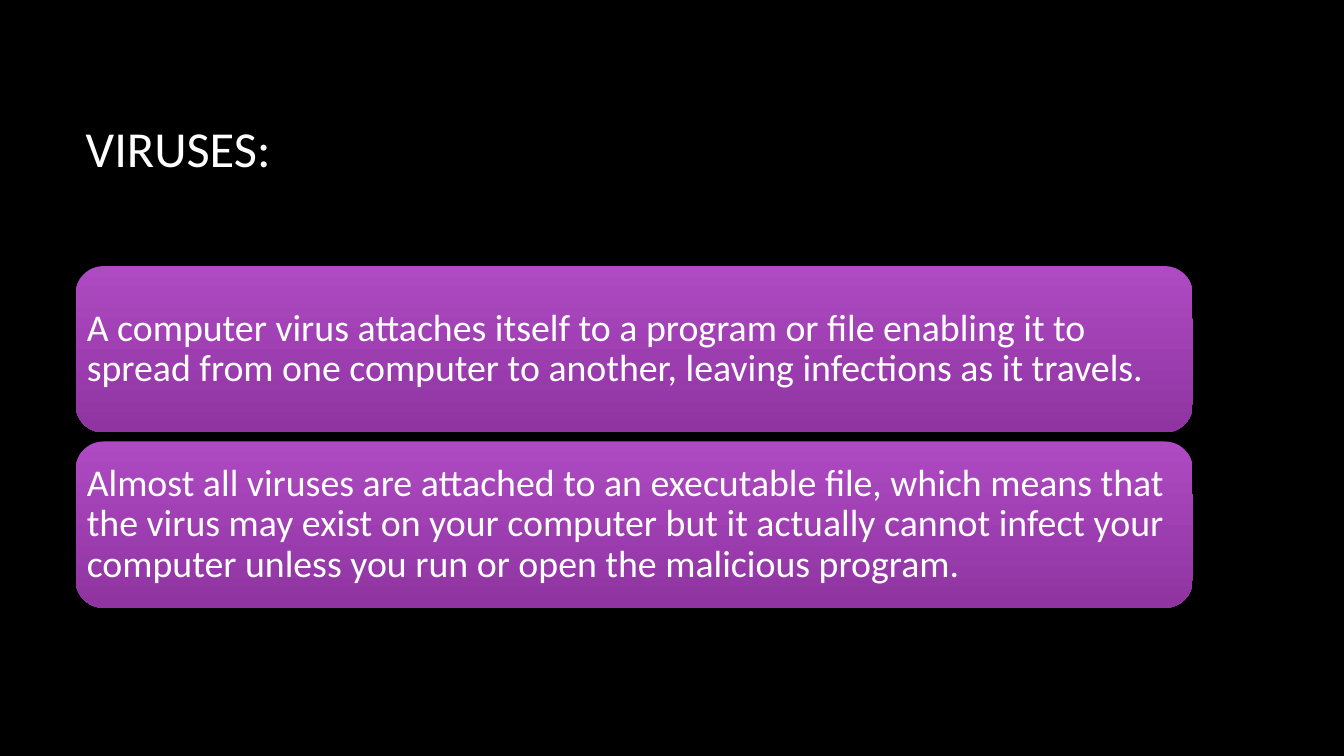
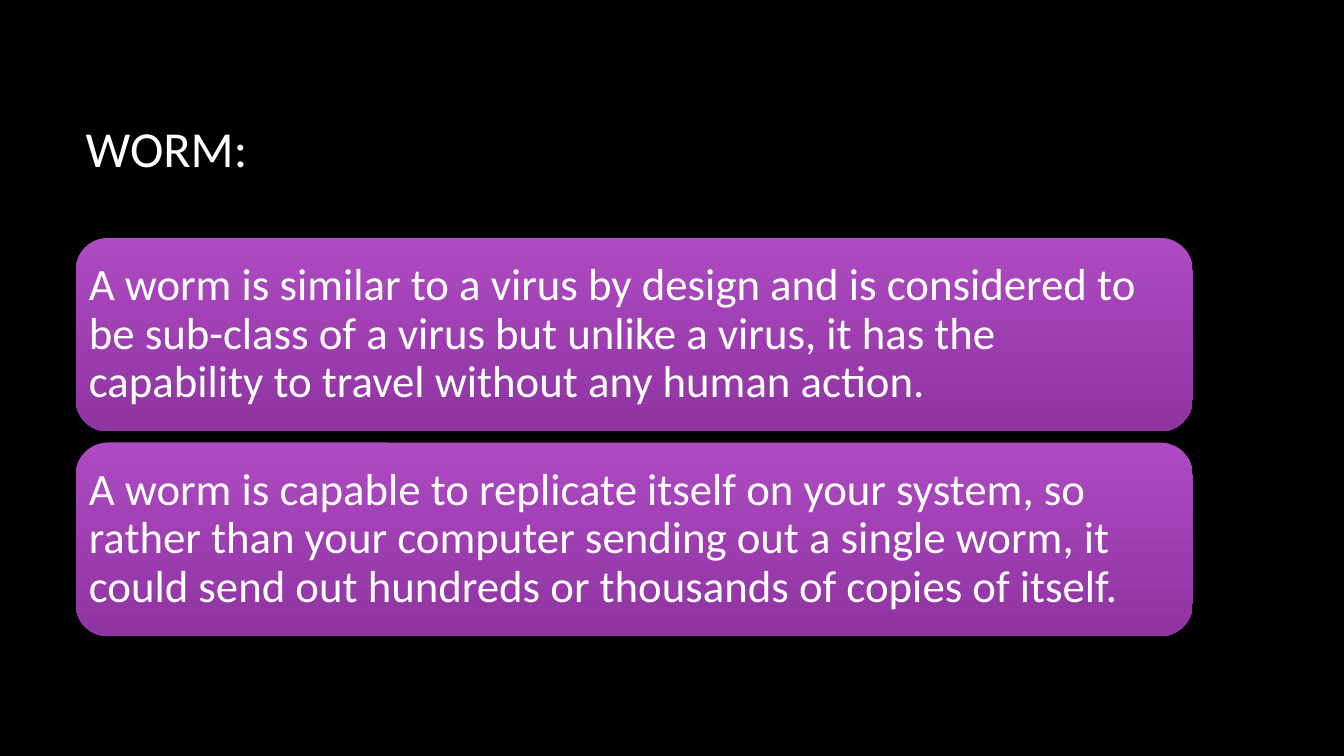
"""Two slides on malware: a title above stacked rounded panels."""
from pptx import Presentation
from pptx.dml.color import RGBColor
from pptx.enum.shapes import MSO_SHAPE
from pptx.enum.text import MSO_ANCHOR, PP_ALIGN
from pptx.util import Inches, Pt

SLIDES = [
    {"title": "VIRUSES:", "size": 27, "top": 2.64, "height": 1.65, "gap": 0.09, "inset": 0.11,
     "panels": [
         "A computer virus attaches itself to a program or file enabling it to spread from one "
         "computer to another, leaving infections as it travels.",
         "Almost all viruses are attached to an executable file, which means that the virus may "
         "exist on your computer but it actually cannot infect your computer unless you run or "
         "open the malicious program."]},
    {"title": "WORM:", "size": 32, "top": 2.36, "height": 1.92, "gap": 0.11, "inset": 0.13,
     "panels": [
         "A worm is similar to a virus by design and is considered to be sub-class of a virus "
         "but unlike a virus, it has the capability to travel without any human action.",
         "A worm is capable to replicate itself on your system, so rather than your computer "
         "sending out a single worm, it could send out hundreds or thousands of copies of "
         "itself."]},
]
COLORS = {"back": "000000", "text": "FFFFFF", "panel_top": "AE4AC2", "panel_bottom": "8F34A1"}
FONT = "Calibri"
LEFT, WIDTH = 0.75, 11.08
TITLE_TOP, TITLE_HEIGHT, TITLE_SIZE = 0.67, 1.59, 36
CORNER = 0.1667
CORNER_TEXT_SHARE = 0.29
TITLE_ONLY = 5
ROUNDED = MSO_SHAPE.ROUNDED_RECTANGLE
MIDDLE, ALIGN_LEFT = MSO_ANCHOR.MIDDLE, PP_ALIGN.LEFT


def rgb(name):
    return RGBColor.from_string(COLORS[name])


def write(tf, text, size, spacing=None):
    tf.word_wrap = True
    tf.vertical_anchor = MIDDLE
    p = tf.paragraphs[0]
    p.alignment = ALIGN_LEFT
    p.line_spacing = spacing
    r = p.add_run()
    r.text = text
    r.font.name, r.font.size = FONT, Pt(size)
    r.font.color.rgb = rgb("text")


def add_panel(s, text, top, height, inset, size):
    sp = s.shapes.add_shape(ROUNDED, Inches(LEFT), Inches(top), Inches(WIDTH), Inches(height))
    sp.adjustments[0] = CORNER
    sp.shadow.inherit = False
    sp.line.fill.background()
    sp.fill.gradient()
    sp.fill.gradient_angle = 270
    for stop, name in zip(sp.fill.gradient_stops, ("panel_top", "panel_bottom")):
        stop.color.rgb = rgb(name)
    tf = sp.text_frame
    margin = Inches(inset - height * CORNER * CORNER_TEXT_SHARE)
    tf.margin_left = tf.margin_right = tf.margin_top = tf.margin_bottom = margin
    write(tf, text, size, spacing=0.9)


prs = Presentation()
prs.slide_width, prs.slide_height = Inches(13.33), Inches(7.5)
back = prs.slide_master.background.fill
back.solid()
back.fore_color.rgb = rgb("back")
layout = prs.slide_layouts[TITLE_ONLY]
box = layout.placeholders[0]
box.left, box.top = Inches(LEFT), Inches(TITLE_TOP)
box.width, box.height = Inches(WIDTH), Inches(TITLE_HEIGHT)

for page in SLIDES:
    s = prs.slides.add_slide(layout)
    write(s.shapes.title.text_frame, page["title"], TITLE_SIZE)
    for row, text in enumerate(page["panels"]):
        top = page["top"] + row * (page["height"] + page["gap"])
        add_panel(s, text, top, page["height"], page["inset"], page["size"])

prs.save("out.pptx")
